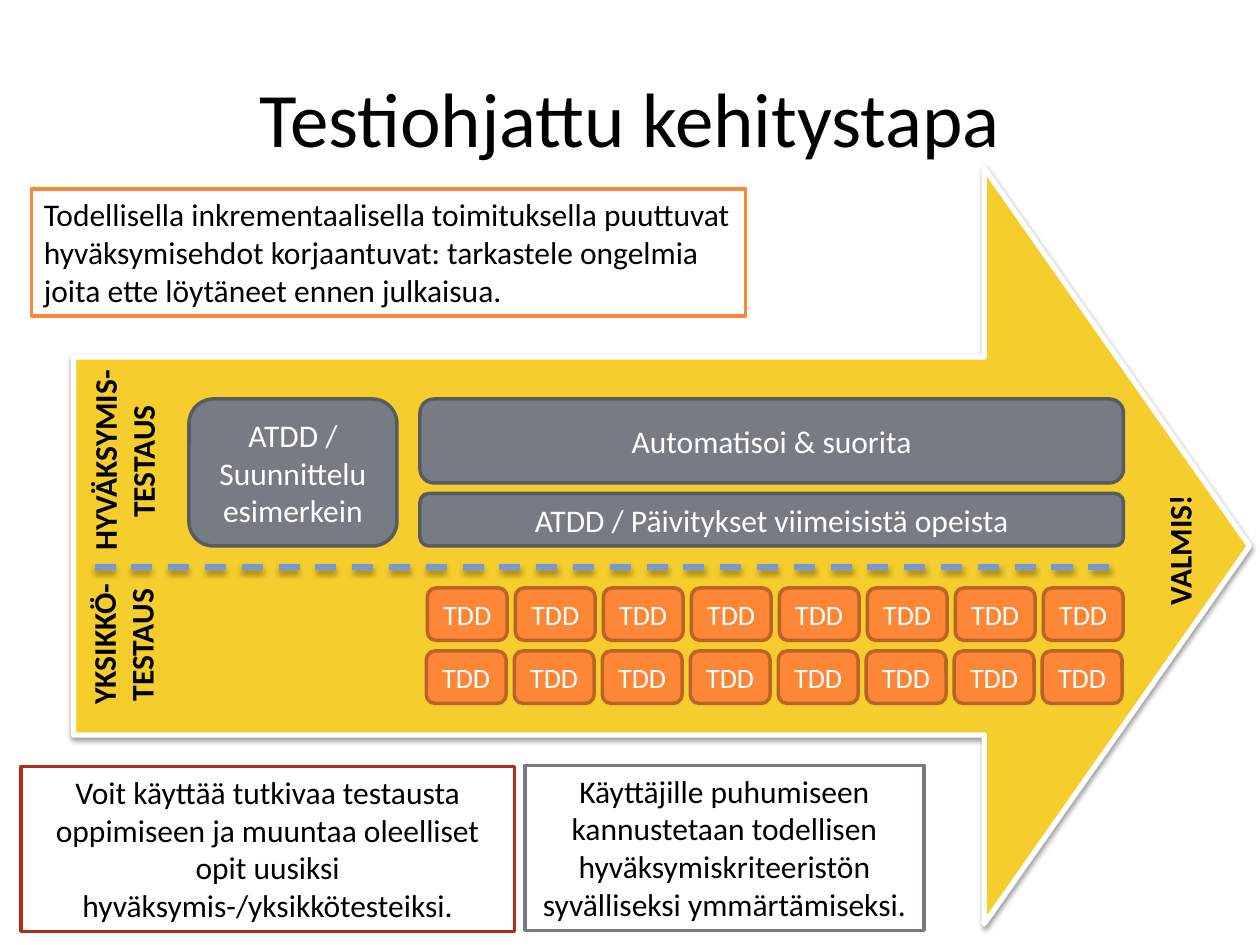
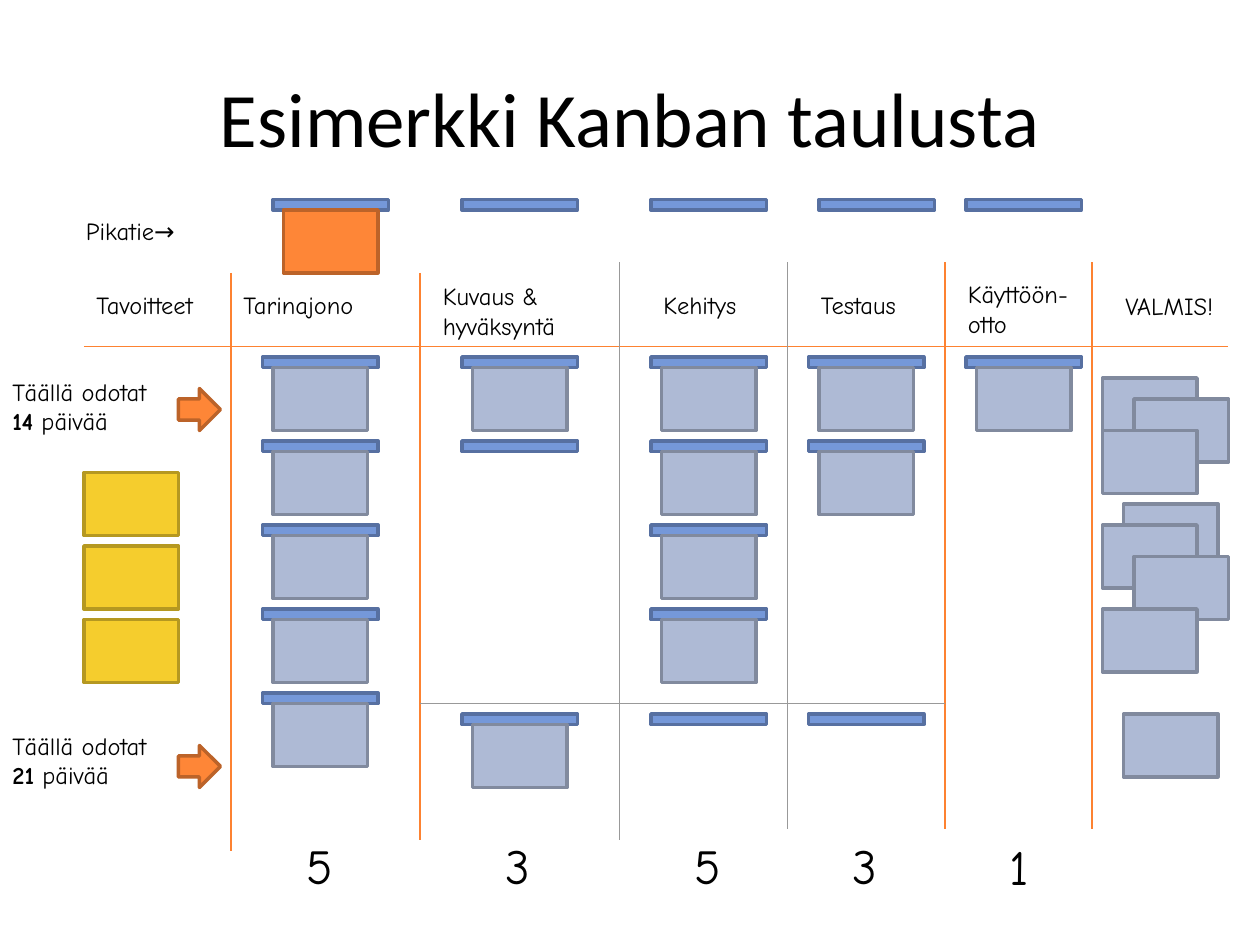
"""Build two slides: test-driven development and an example Kanban board."""
from dataclasses import dataclass
from typing import Any, NamedTuple, Optional

from lxml import etree
from pptx import Presentation
from pptx.dml.color import RGBColor
from pptx.enum.dml import MSO_LINE
from pptx.enum.shapes import MSO_CONNECTOR, MSO_SHAPE
from pptx.enum.text import MSO_ANCHOR, MSO_AUTO_SIZE, PP_ALIGN
from pptx.oxml.ns import qn
from pptx.util import Cm, Pt

RECTANGLE = MSO_SHAPE.RECTANGLE
ROUNDED = MSO_SHAPE.ROUNDED_RECTANGLE
ARROW = MSO_SHAPE.RIGHT_ARROW
STRAIGHT = MSO_CONNECTOR.STRAIGHT
DASH = MSO_LINE.DASH
LEFT, CENTER = PP_ALIGN.LEFT, PP_ALIGN.CENTER
TOP, MIDDLE = MSO_ANCHOR.TOP, MSO_ANCHOR.MIDDLE
GROW = MSO_AUTO_SIZE.SHAPE_TO_FIT_TEXT

BLACK = RGBColor(0x00, 0x00, 0x00)
WHITE = RGBColor(0xFF, 0xFF, 0xFF)
YELLOW = RGBColor(0xF5, 0xCD, 0x2D)
DARK_YELLOW = RGBColor(0xB5, 0x98, 0x21)
ORANGE = RGBColor(0xFE, 0x86, 0x37)
DARK_ORANGE = RGBColor(0xBC, 0x63, 0x29)
LINE_ORANGE = RGBColor(0xFD, 0x82, 0x31)
GREY = RGBColor(0x77, 0x7C, 0x84)
DARK_GREY = RGBColor(0x58, 0x5C, 0x62)
LINE_GREY = RGBColor(0x99, 0x99, 0x99)
BLUE = RGBColor(0x75, 0x98, 0xD9)
DARK_BLUE = RGBColor(0x57, 0x70, 0xA1)
PALE_BLUE = RGBColor(0xAE, 0xBA, 0xD5)
SLATE = RGBColor(0x81, 0x8A, 0x9E)
RED = RGBColor(0xB3, 0x2C, 0x16)

BODY_FONT, BOARD_FONT = "Calibri", "Comic Neue"
PAGE_WIDTH, PAGE_HEIGHT = 25.4, 19.05
PAGE_COLUMNS = 120


class Area(NamedTuple):
    """A rectangle in grid units."""

    left: float
    top: float
    width: float
    height: float


class Paint(NamedTuple):
    """Fill and outline of a shape."""

    fill: RGBColor
    line: RGBColor
    weight: float = 2


class Shadow(NamedTuple):
    """A shadow falling straight down."""

    distance: float
    opacity: int
    blur: float = 3.1


@dataclass
class Lettering:
    """Look of a text."""

    size: int
    font: str = BODY_FONT
    color: RGBColor = BLACK
    bold: bool = False
    align: Any = CENTER
    anchor: Any = MIDDLE
    grow: bool = False


@dataclass
class Stage:
    """A board column with its slots and cards."""

    name: str
    label_left: float
    label_top: float
    slot_left: float
    fast_left: float
    filled: tuple[float, ...]
    empty: tuple[float, ...]
    limit: str
    limit_top: float = 79


TITLE = Lettering(44)
ON_GREY = Lettering(18, color=WHITE)
ON_ORANGE = Lettering(16, color=WHITE)
SIDE_LABEL = Lettering(18, bold=True, anchor=TOP, grow=True)
NOTE = Lettering(18, anchor=TOP, grow=True)
LEFT_NOTE = Lettering(18, align=LEFT, anchor=TOP, grow=True)
BOARD_LABEL = Lettering(14, BOARD_FONT, align=LEFT, anchor=TOP, grow=True)
LIMIT = Lettering(28, BOARD_FONT, align=LEFT, anchor=TOP, grow=True)

GREY_BOX = Paint(GREY, DARK_GREY)
ORANGE_BOX = Paint(ORANGE, DARK_ORANGE)
GOAL = Paint(YELLOW, DARK_YELLOW)
SLOT = Paint(BLUE, DARK_BLUE)
CARD = Paint(PALE_BLUE, SLATE)

CARD_WIDTH, CARD_HEIGHT = 9, 6
FAST_TOP = 19
TDD_PITCH = 8.38

ACTIVITIES = (
    (Area(18, 38, 19.8, 14), "ATDD / Suunnittelu esimerkein"),
    (Area(40, 38, 67, 8), "Automatisoi & suorita"),
    (Area(40, 47, 67, 5), "ATDD / Päivitykset viimeisistä opeista"),
)
SIDE_LABELS = (
    (Area(4.2, 57.2, 15, 8.5), "YKSIKKÖ-TESTAUS"),
    (Area(1.8, 39.7, 20, 8.5), "HYVÄKSYMIS-TESTAUS"),
    (Area(104.8, 50, 15, 4.8), "VALMIS!"),
)
NOTES = (
    (Area(2, 73, 47, 15.7), RED, NOTE,
     "Voit käyttää tutkivaa testausta oppimiseen ja muuntaa oleelliset "
     "opit uusiksi hyväksymis-/yksikkötesteiksi."),
    (Area(3, 18, 68, 12.1), ORANGE, LEFT_NOTE,
     "Todellisella inkrementaalisella toimituksella puuttuvat "
     "hyväksymisehdot korjaantuvat: tarkastele ongelmia joita ette "
     "löytäneet ennen julkaisua."),
    (Area(50, 72.9, 38, 15.7), GREY, NOTE,
     "Käyttäjille puhumiseen kannustetaan todellisen "
     "hyväksymiskriteeristön syvälliseksi ymmärtämiseksi."),
)
STAGES = (
    Stage("Tarinajono", 22, 27, 25, 26, (34, 42, 50, 58, 66), (), "5"),
    Stage("Kuvaus & hyväksyntä", 41, 26.2, 44, 44, (34, 68), (42,), "3"),
    Stage("Kehitys", 62, 27, 62, 62, (34, 42, 50, 58), (68,), "5"),
    Stage("Testaus", 77, 27, 77, 78, (34, 42), (68,), "3"),
    Stage("Käyttöön-\notto", 91, 26, 92, 92, (34,), (), "1", 79.1),
)
OTHER_LABELS = (
    (Area(8, 27, 19, 4), "Tavoitteet"),
    (Area(106, 27.1, 13, 4), "VALMIS!"),
    (Area(7, 20, 19, 4), "Pikatie→"),
)
BOARD_LINES = (
    (8, 33, 117, 33, LINE_ORANGE),
    (104, 25, 104, 79, LINE_ORANGE),
    (90, 25, 90, 79, LINE_ORANGE),
    (75, 25, 75, 79, LINE_GREY),
    (59, 25, 59, 80, LINE_GREY),
    (40, 26, 40, 80, LINE_ORANGE),
    (22, 26, 22, 81, LINE_ORANGE),
    (40, 67, 90, 67, LINE_GREY),
)
DONE_CARDS = ((105, 36), (108, 38), (105, 41), (107, 48),
              (105, 50), (108, 53), (105, 58), (107, 68))
WAITS = ((35.3, 37, "14"), (69, 71, "21"))


def grid(units: float) -> Cm:
    """Turn grid units into a length."""
    return Cm(units * PAGE_WIDTH / PAGE_COLUMNS)


def place(area: Area) -> tuple[Cm, ...]:
    """Turn an area into left, top, width and height."""
    return tuple(grid(units) for units in area)


def cast_shadow(effects: Any, shadow: Shadow) -> None:
    """Fill an effect list with a shadow."""
    outer = etree.SubElement(
        effects, qn("a:outerShdw"), blurRad=str(Pt(shadow.blur)),
        dist=str(Pt(shadow.distance)), dir="5400000", rotWithShape="0")
    color = etree.SubElement(outer, qn("a:srgbClr"), val="000000")
    etree.SubElement(color, qn("a:alpha"), val=str(shadow.opacity * 1000))


def style_runs(para: Any, look: Lettering) -> None:
    """Format every run of a paragraph."""
    para.alignment = look.align
    for span in para.runs:
        span.font.name = look.font
        span.font.size = Pt(look.size)
        span.font.bold = look.bold
        span.font.color.rgb = look.color


def write(box: Any, text: str, look: Lettering) -> Any:
    """Put formatted text into a box and return its paragraph."""
    frame = box.text_frame
    frame.word_wrap = True
    frame.vertical_anchor = look.anchor
    if look.grow:
        frame.auto_size = GROW
    para = frame.paragraphs[0]
    para.text = text
    style_runs(para, look)
    return para


def add_label(page: Any, area: Area, text: str, look: Lettering) -> Any:
    """Add a text box."""
    box = page.shapes.add_textbox(*place(area))
    write(box, text, look)
    return box


def add_box(page: Any, area: Area, paint: Paint, kind: Any = RECTANGLE) -> Any:
    """Add a filled and outlined shape."""
    box = page.shapes.add_shape(kind, *place(area))
    box.shadow.inherit = False
    box.fill.solid()
    box.fill.fore_color.rgb = paint.fill
    box.line.color.rgb = paint.line
    box.line.width = Pt(paint.weight)
    return box


def add_line(page: Any, ends: tuple[float, ...], color: RGBColor,
             weight: float = 0.75, shadow: Optional[Shadow] = None) -> Any:
    """Add a straight line."""
    line = page.shapes.add_connector(STRAIGHT, *(grid(end) for end in ends))
    line.line.color.rgb = color
    line.line.width = Pt(weight)
    effects = etree.SubElement(line.element.spPr, qn("a:effectLst"))
    if shadow:
        cast_shadow(effects, shadow)
    return line


def add_page(deck: Any, title: str) -> Any:
    """Add a slide with its title."""
    page = deck.slides.add_slide(deck.slide_layouts[5])
    box = page.shapes.title
    box.left, box.top, box.width, box.height = place(Area(6, 3.6, 108, 15))
    write(box, title, TITLE)
    return page


def build_development(deck: Any) -> None:
    """Draw the test-driven development slide."""
    page = add_page(deck, "Testiohjattu kehitystapa")
    arrow = add_box(page, Area(7, 16, 112, 72), Paint(YELLOW, WHITE, 3), ARROW)
    arrow.adjustments[1] = 0.351
    cast_shadow(arrow.element.spPr.find(qn("a:effectLst")), Shadow(1.6, 38))
    for area, text in ACTIVITIES:
        write(add_box(page, area, GREY_BOX, ROUNDED), text, ON_GREY)
    divider = add_line(page, (9, 54, 107, 54), BLUE, 3, Shadow(1.8, 35))
    divider.line.dash_style = DASH
    for left, top in ((40.7, 56), (40.6, 62)):
        for step in range(8):
            area = Area(left + step * TDD_PITCH, top, 7.6, 5)
            write(add_box(page, area, ORANGE_BOX, ROUNDED), "TDD", ON_ORANGE)
    for area, text in SIDE_LABELS:
        add_label(page, area, text, SIDE_LABEL).rotation = 270
    for area, color, look, text in NOTES:
        write(add_box(page, area, Paint(WHITE, color)), text, look)


def add_card(page: Any, left: float, top: float, paint: Paint) -> None:
    """Add a card of the board."""
    add_box(page, Area(left, top, CARD_WIDTH, CARD_HEIGHT), paint)


def add_stage(page: Any, stage: Stage) -> None:
    """Draw the label, slots, cards and limit of a stage."""
    add_label(page, Area(stage.label_left, stage.label_top, 19, 4), stage.name, BOARD_LABEL)
    add_label(page, Area(stage.slot_left + 3, stage.limit_top, 5, 6.8), stage.limit, LIMIT)
    add_box(page, Area(stage.fast_left, FAST_TOP, 11, 1), SLOT)
    for top in stage.filled + stage.empty:
        add_box(page, Area(stage.slot_left, top, 11, 1), SLOT)
    for top in stage.filled:
        add_card(page, stage.slot_left + 1, top + 1, CARD)


def build_board(deck: Any) -> None:
    """Draw the Kanban board slide."""
    page = add_page(deck, "Esimerkki Kanban taulusta")
    for *ends, color in BOARD_LINES:
        add_line(page, ends, color)
    for area, text in OTHER_LABELS:
        add_label(page, area, text, BOARD_LABEL)
    for stage in STAGES:
        add_stage(page, stage)
    add_card(page, STAGES[0].fast_left + 1, FAST_TOP + 1, ORANGE_BOX)
    for left, top in DONE_CARDS:
        add_card(page, left, top, CARD)
    for label_top, arrow_top, days in WAITS:
        box = add_label(page, Area(0, label_top, 19, 6.8), "Täällä odotat\n", BOARD_LABEL)
        para = box.text_frame.paragraphs[0]
        number, unit = para.add_run(), para.add_run()
        number.text, unit.text = days, " päivää"
        style_runs(para, BOARD_LABEL)
        number.font.bold = True
        add_box(page, Area(17, arrow_top, 4, 4), ORANGE_BOX, ARROW)
    for row in range(3):
        add_card(page, 8, 45 + 7 * row, GOAL)


def main() -> None:
    """Build and save the deck."""
    deck = Presentation()
    deck.slide_width, deck.slide_height = Cm(PAGE_WIDTH), Cm(PAGE_HEIGHT)
    build_development(deck)
    build_board(deck)
    deck.save("out.pptx")


if __name__ == "__main__":
    main()
